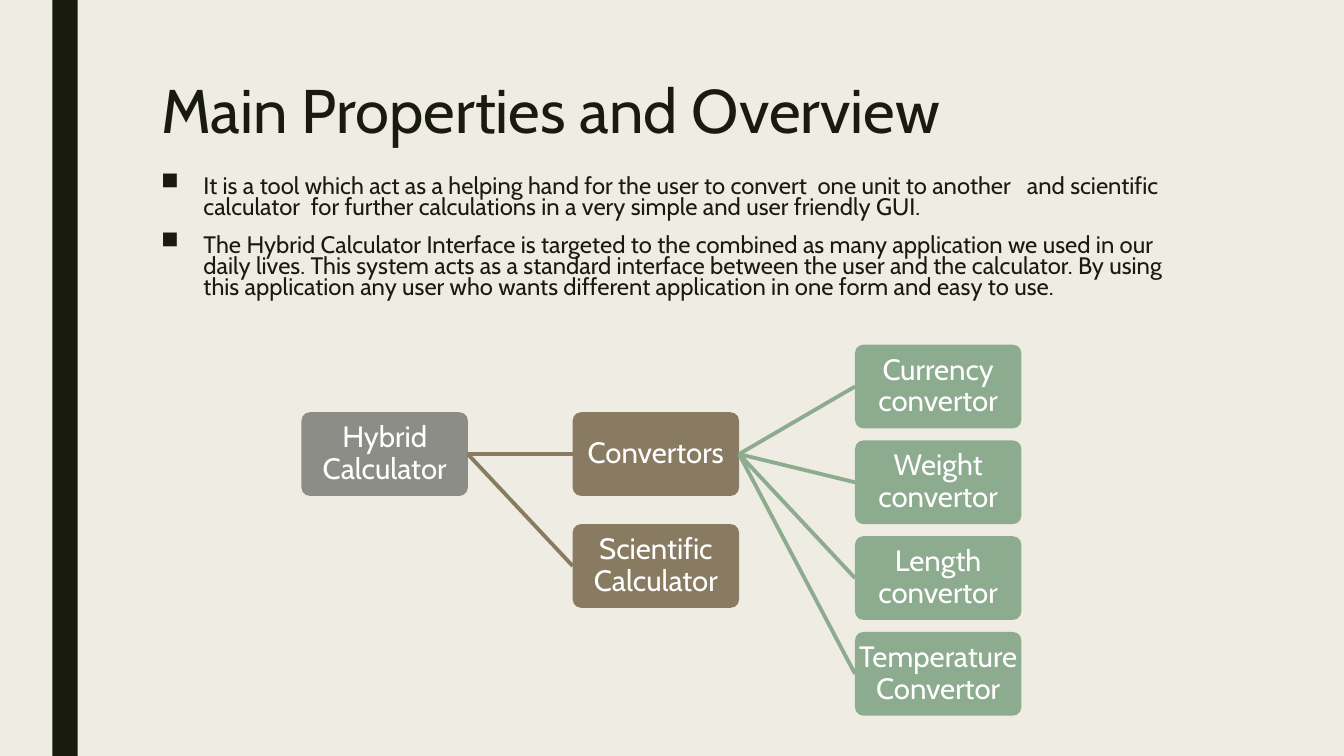
from lxml.etree import SubElement
from pptx import Presentation
from pptx.dml.color import RGBColor
from pptx.enum.shapes import MSO_CONNECTOR as Connector, MSO_SHAPE as Shape
from pptx.enum.text import MSO_ANCHOR as Anchor, PP_ALIGN as Align
from pptx.oxml.ns import qn
from pptx.util import Inches, Pt

SLIDE_W, SLIDE_H = 13.33, 7.5
PAPER, INK, WHITE = "EFEDE3", "191B0E", "FFFFFF"
GREY, BROWN, GREEN = "8C8D86", "897B61", "8DAB8E"
FONT = "Cabin"

TITLE = "Main Properties and Overview"
POINTS = [
    "It is a tool which act as a helping hand for the user to convert  one unit to another   "
    "and scientific calculator  for further calculations in a very simple and user friendly GUI.",
    "The Hybrid Calculator Interface is targeted to the combined as many application we used "
    "in our daily lives. This system acts as a standard interface between the user and the "
    "calculator. By using this application any user who wants different application in one "
    "form and easy to use.",
]
UNIT_CONVERTORS = ["Currency convertor", "Weight convertor",
                   "Length convertor", "Temperature Convertor"]

# Tree measures, in inches
NODE_W, NODE_H = 1.65, 0.83
ROW_STEP = 0.95
COLUMNS = [0, 2.69, 5.49]
ROOT_TOP, SCIENTIFIC_TOP = 0.67, 1.78


def set_values(target, values):
    for name, value in values.items():
        setattr(target, name, value)


def paint(colour_format, colour):
    colour_format.rgb = RGBColor.from_string(colour)


def fill_solid(fill, colour):
    fill.solid()
    paint(fill.fore_color, colour)


def write(paragraph, text, size, colour, **layout):
    run = paragraph.add_run()
    run.text = text
    set_values(run.font, {"name": FONT, "size": Pt(size)})
    paint(run.font.color, colour)
    set_values(paragraph, layout)


def add_block(slide, kind, box, colour):
    block = slide.shapes.add_shape(kind, *map(Inches, box))
    block.shadow.inherit = False
    fill_solid(block.fill, colour)
    block.line.fill.background()
    return block


def add_text_area(slide, box):
    frame = slide.shapes.add_textbox(*map(Inches, box)).text_frame
    frame.word_wrap = True
    return frame


def add_backdrop(slide):
    fill_solid(slide.background.fill, PAPER)
    add_block(slide, Shape.RECTANGLE, (0.52, 0, 0.25, SLIDE_H), INK)


def add_title(slide, box):
    heading = add_text_area(slide, box).paragraphs[0]
    write(heading, TITLE, 44, INK, line_spacing=0.89)


def add_points(slide, box):
    frame = add_text_area(slide, box)
    for index, point in enumerate(POINTS):
        paragraph = frame.add_paragraph() if index else frame.paragraphs[0]
        write(paragraph, point, 17, INK, line_spacing=0.74,
              space_before=Pt(10), space_after=Pt(2))
        # Hanging square bullet
        properties = paragraph._p.get_or_add_pPr()
        indent = Inches(0.42)
        properties.set("marL", str(indent))
        properties.set("indent", str(-indent))
        SubElement(properties, qn("a:buChar"), char="■")


def add_node(slide, left, top, label, colour):
    node = add_block(slide, Shape.ROUNDED_RECTANGLE, (left, top, NODE_W, NODE_H), colour)
    node.adjustments[0] = 0.1
    frame = node.text_frame
    set_values(frame, {"word_wrap": True, "vertical_anchor": Anchor.MIDDLE,
                       "margin_left": 0, "margin_right": 0,
                       "margin_top": 0, "margin_bottom": 0})
    write(frame.paragraphs[0], label, 21, WHITE, line_spacing=0.9, alignment=Align.CENTER)
    return node


def add_branch(slide, parent, left, top, label, colour):
    """Add a child node and the line from its parent's right side to its left side."""
    child = add_node(slide, left, top, label, colour)
    link = slide.shapes.add_connector(Connector.STRAIGHT, 0, 0, 0, 0)
    link.begin_connect(parent, 3)
    link.end_connect(child, 1)
    paint(link.line.color, colour)
    link.line.width = Pt(2.75)
    SubElement(link._element.spPr, qn("a:effectLst"))
    return child


def add_tree(slide, left, top):
    root_x, branch_x, leaf_x = (left + column for column in COLUMNS)
    root_y = top + ROOT_TOP
    root = add_node(slide, root_x, root_y, "Hybrid Calculator", GREY)
    convertors = add_branch(slide, root, branch_x, root_y, "Convertors", BROWN)
    add_branch(slide, root, branch_x, top + SCIENTIFIC_TOP, "Scientific Calculator", BROWN)
    for row, label in enumerate(UNIT_CONVERTORS):
        add_branch(slide, convertors, leaf_x, top + row * ROW_STEP, label, GREEN)


def main():
    deck = Presentation()
    set_values(deck, {"slide_width": Inches(SLIDE_W), "slide_height": Inches(SLIDE_H)})
    slide = deck.slides.add_slide(deck.slide_layouts[6])
    add_backdrop(slide)
    add_title(slide, (1.5, 0.75, 10.5, 0.9))
    add_points(slide, (1.5, 1.71, 10.5, 1.39))
    add_tree(slide, 2.99, 3.42)
    deck.save("out.pptx")


if __name__ == "__main__":
    main()
